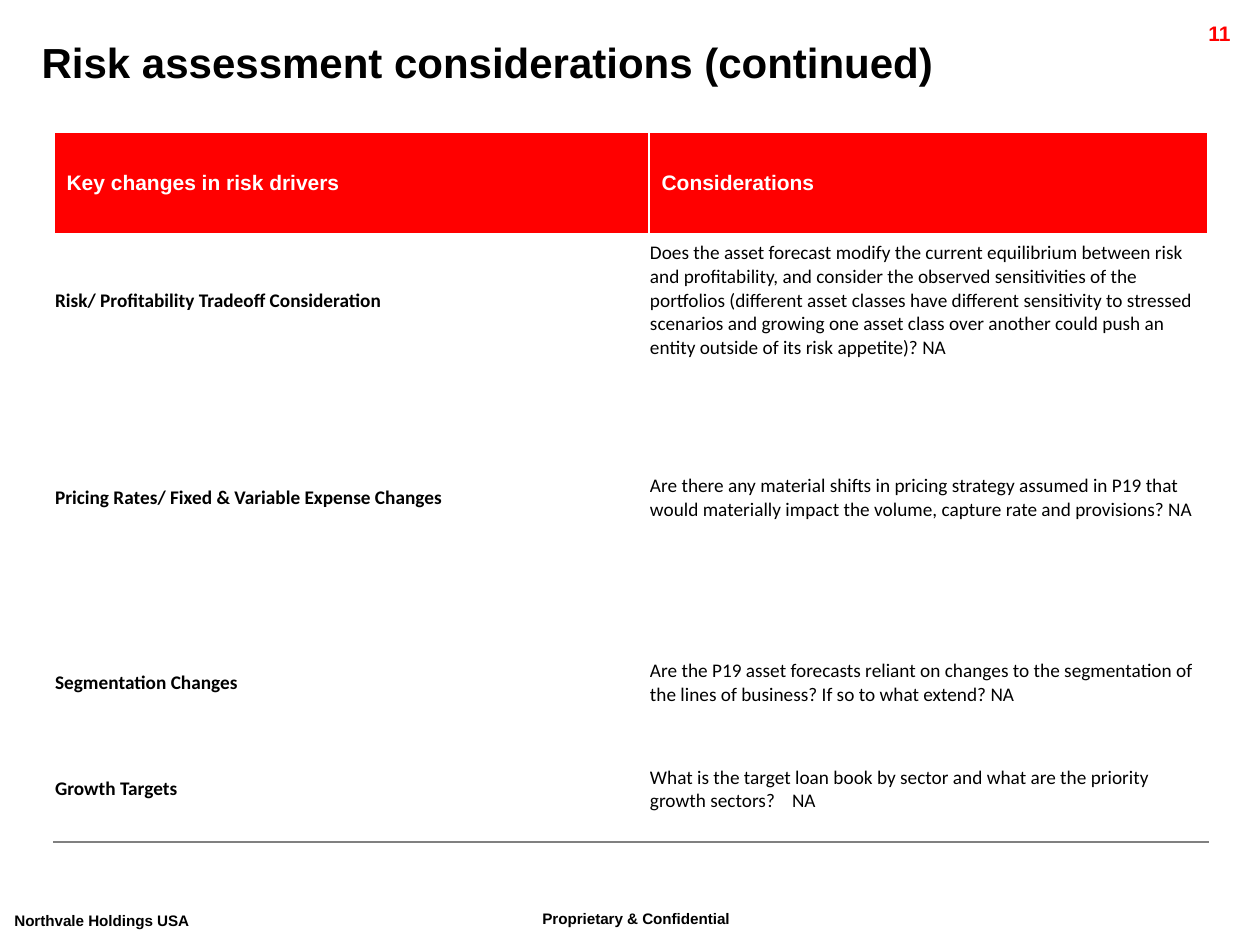
from lxml.etree import SubElement
from pptx import Presentation
from pptx.dml.color import RGBColor
from pptx.enum.text import MSO_ANCHOR, PP_ALIGN
from pptx.oxml.ns import qn
from pptx.util import Pt

EMU = 914400 / 126
RED, GREY, BLACK, WHITE = "FF0000", "808080", "000000", "FFFFFF"

HEAD = ("Key changes in risk drivers", "Considerations")
ROWS = [
    ("Risk/ Profitability Tradeoff Consideration",
     "Does the asset forecast modify the current equilibrium between risk and "
     "profitability, and consider the observed sensitivities of the portfolios "
     "(different asset classes have different sensitivity to stressed scenarios "
     "and growing one asset class over another could push an entity outside of "
     "its risk appetite)? NA"),
    ("Pricing Rates/ Fixed & Variable Expense Changes",
     "Are there any material shifts in pricing strategy assumed in P19 that would "
     "materially impact the volume, capture rate and provisions? NA"),
    ("Segmentation Changes",
     "Are the P19 asset forecasts reliant on changes to the segmentation of the "
     "lines of business? If so to what extend? NA"),
    ("Growth Targets",
     "What is the target loan book by sector and what are the priority growth "
     "sectors?\tNA"),
]
WIDTHS = (595, 559)
HEIGHTS = (102, 132, 263, 107, 106)


def px(n):
    return round(n * EMU)


def color(code):
    return RGBColor.from_string(code)


def add_run(para, text, size, code=BLACK, bold=True, face="Arial", lift=0):
    run = para.add_run()
    run.text = text
    font = run.font
    font.size, font.bold, font.name = Pt(size), bold, face
    font.color.rgb = color(code)
    if lift:
        run._r.get_or_add_rPr().set("baseline", str(lift * 1000))


def add_label(slide, box, text, size, code=BLACK, align=PP_ALIGN.LEFT,
              wrap=True, lift=0):
    frame = slide.shapes.add_textbox(*map(px, box)).text_frame
    frame.word_wrap = wrap
    para = frame.paragraphs[0]
    para.alignment = align
    add_run(para, text, size, code, lift=lift)


def set_title(slide, box, text):
    title = slide.shapes.title
    title.left, title.top, title.width, title.height = map(px, box)
    frame = title.text_frame
    frame.word_wrap = True
    frame.vertical_anchor = MSO_ANCHOR.TOP
    para = frame.paragraphs[0]
    para.alignment = PP_ALIGN.LEFT
    add_run(para, text, 24)


def add_rule(cell):
    """Draw the grey line under a cell."""
    props = cell._tc.get_or_add_tcPr()
    line = SubElement(props, qn("a:lnB"), w=str(Pt(1)))
    fill = SubElement(line, qn("a:solidFill"))
    SubElement(fill, qn("a:srgbClr"), val=GREY)
    props.insert(0, line)


def add_tab(para, stop):
    tabs = SubElement(para._p.get_or_add_pPr(), qn("a:tabLst"))
    SubElement(tabs, qn("a:tab"), pos=str(px(stop)), algn="l")


def fill_cell(cell, text, head, bold):
    cell.vertical_anchor = MSO_ANCHOR.MIDDLE
    para = cell.text_frame.paragraphs[0]
    if head:
        cell.fill.solid()
        cell.fill.fore_color.rgb = color(RED)
        add_run(para, text, 12, WHITE)
    else:
        cell.fill.background()
        cell.margin_left = cell.margin_right = cell.margin_top = px(1)
        cell.margin_bottom = 0
        if "\t" in text:
            add_tab(para, 142)
        add_run(para, text, 11, bold=bold, face="Calibri")
    add_rule(cell)


def add_grid(slide, left, top):
    data = [HEAD, *ROWS]
    table = slide.shapes.add_table(
        len(data), len(WIDTHS), px(left), px(top),
        px(sum(WIDTHS)), px(sum(HEIGHTS))).table
    table.horz_banding = False
    for col, width in zip(table.columns, WIDTHS):
        col.width = px(width)
    for r, texts in enumerate(data):
        table.rows[r].height = px(HEIGHTS[r])
        for c, text in enumerate(texts):
            fill_cell(table.cell(r, c), text, head=r == 0, bold=c == 0)


def main():
    deck = Presentation()
    deck.slide_width, deck.slide_height = px(1260), px(945)
    slide = deck.slides.add_slide(deck.slide_layouts[5])

    # Footer and page number
    add_label(slide, (530, 900, 275, 44), "Proprietary & Confidential", 15, lift=30)
    add_label(slide, (2, 902, 241, 44), "Northvale Holdings USA", 15,
              wrap=False, lift=30)
    add_label(slide, (1123, 14, 120, 30), "11", 12, RED, PP_ALIGN.RIGHT)

    # Title and table
    set_title(slide, (29, 30, 1237, 63), "Risk assessment considerations (continued)")
    add_grid(slide, 54, 132)

    deck.save("out.pptx")


if __name__ == "__main__":
    main()
